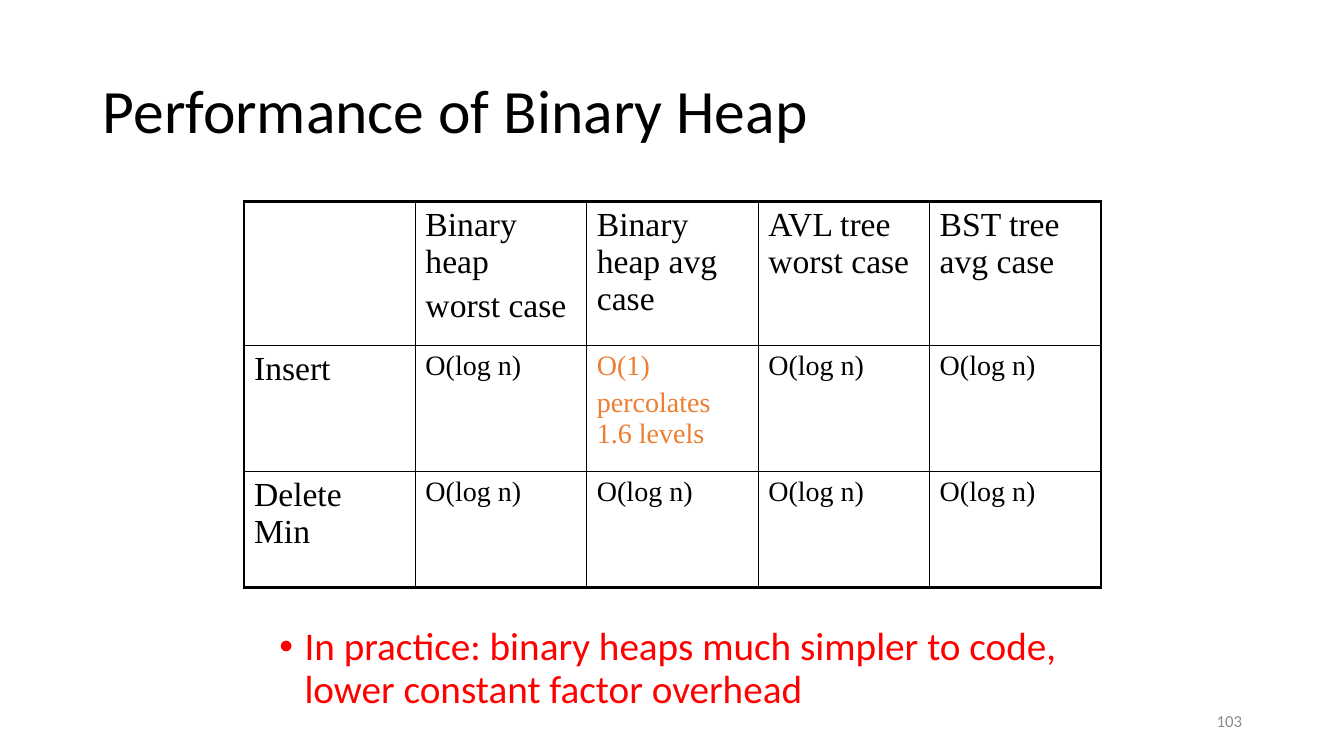
import pptx
import pptx.util
import pptx.dml.color
import pptx.enum.text
import pptx.oxml
import pptx.oxml.ns
from lxml import etree

# Content
TITLE = "Performance of Binary Heap"
NOTE = "In practice: binary heaps much simpler to code, lower constant factor overhead"
PAGE = "103"
LOG = "O(log n)"
ROWS = [
    ["", "Binary heap\nworst case", "Binary heap avg case",
     "AVL tree worst case", "BST tree avg case"],
    ["Insert", LOG, "O(1)\npercolates 1.6 levels", LOG, LOG],
    ["Delete Min", LOG, LOG, LOG, LOG],
]
HIGHS = [1.43, 1.25, 1.15]
WIDE = 1.7
ACCENT = (1, 2)
BLACK, ORANGE, RED, GREY = "000000", "ED7D31", "FF0000", "8C8C8C"
THIN, THICK = 1, 2.25

Inches, Pt = pptx.util.Inches, pptx.util.Pt
ALIGN = pptx.enum.text.PP_ALIGN
ANCHOR = pptx.enum.text.MSO_ANCHOR


def color(code):
    return pptx.dml.color.RGBColor.from_string(code)


def style(para, size, code, face="Calibri", align=ALIGN.LEFT):
    para.alignment = align
    para.space_before = Pt(0)
    for run in para.runs:
        run.font.size = Pt(size)
        run.font.name = face
        run.font.color.rgb = color(code)


def place(shape, left, top, width, height):
    shape.left, shape.top = Inches(left), Inches(top)
    shape.width, shape.height = Inches(width), Inches(height)


def write(shape, text, anchor):
    frame = shape.text_frame
    frame.text = text
    frame.word_wrap = True
    frame.auto_size = pptx.enum.text.MSO_AUTO_SIZE.NONE
    frame.vertical_anchor = anchor
    return frame.paragraphs[0]


def border(cell, sides):
    props = cell._tc.get_or_add_tcPr()
    for spot, (side, width) in enumerate(sides):
        line = pptx.oxml.parse_xml(
            f'<a:ln{side} {pptx.oxml.ns.nsdecls("a")} w="{Pt(width)}">'
            f'<a:solidFill><a:srgbClr val="{BLACK}"/></a:solidFill></a:ln{side}>')
        props.insert(spot, line)


deck = pptx.Presentation()
deck.slide_width, deck.slide_height = Inches(13.33), Inches(7.5)
slide = deck.slides.add_slide(deck.slide_layouts[1])

# Title
head = slide.shapes.title
place(head, 0.92, 0.4, 11.5, 1.45)
para = write(head, TITLE, ANCHOR.MIDDLE)
style(para, 44, BLACK)
para.line_spacing = 0.9

# Bulleted remark
body = slide.placeholders[1]
place(body, 2.67, 6.17, 8, 1)
para = write(body, NOTE, ANCHOR.TOP)
props = para._p.get_or_add_pPr()
props.set("marL", str(Inches(0.25)))
props.set("indent", str(-Inches(0.25)))
etree.SubElement(props, pptx.oxml.ns.qn("a:buFont")).set("typeface", "Arial")
etree.SubElement(props, pptx.oxml.ns.qn("a:buChar")).set("char", "•")
style(para, 28, RED)
para.line_spacing = 0.9

# Page number
foot = slide.shapes.add_textbox(Inches(9.42), Inches(6.95), Inches(3), Inches(0.4))
style(write(foot, PAGE, ANCHOR.MIDDLE), 12, GREY, align=ALIGN.RIGHT)

# Comparison table
count, span = len(ROWS), len(ROWS[0])
grid = slide.shapes.add_table(count, span, Inches(2.42), Inches(2),
                              Inches(WIDE * span), Inches(sum(HIGHS))).table
grid.first_row = grid.horz_banding = False
for col in grid.columns:
    col.width = Inches(WIDE)
for r, texts in enumerate(ROWS):
    grid.rows[r].height = Inches(HIGHS[r])
    for c, text in enumerate(texts):
        cell = grid.cell(r, c)
        cell.fill.background()
        cell.text_frame.text = text
        size = 24 if r == 0 or c == 0 else 20
        code = ORANGE if (r, c) == ACCENT else BLACK
        for k, para in enumerate(cell.text_frame.paragraphs):
            style(para, size, code, "Times New Roman")
            if k:
                para.space_before = Pt(0.2 * size)
        edges = [("L", c == 0), ("R", c == span - 1),
                 ("T", r == 0), ("B", r == count - 1)]
        border(cell, [(side, THICK if outer else THIN) for side, outer in edges])

deck.save("out.pptx")
